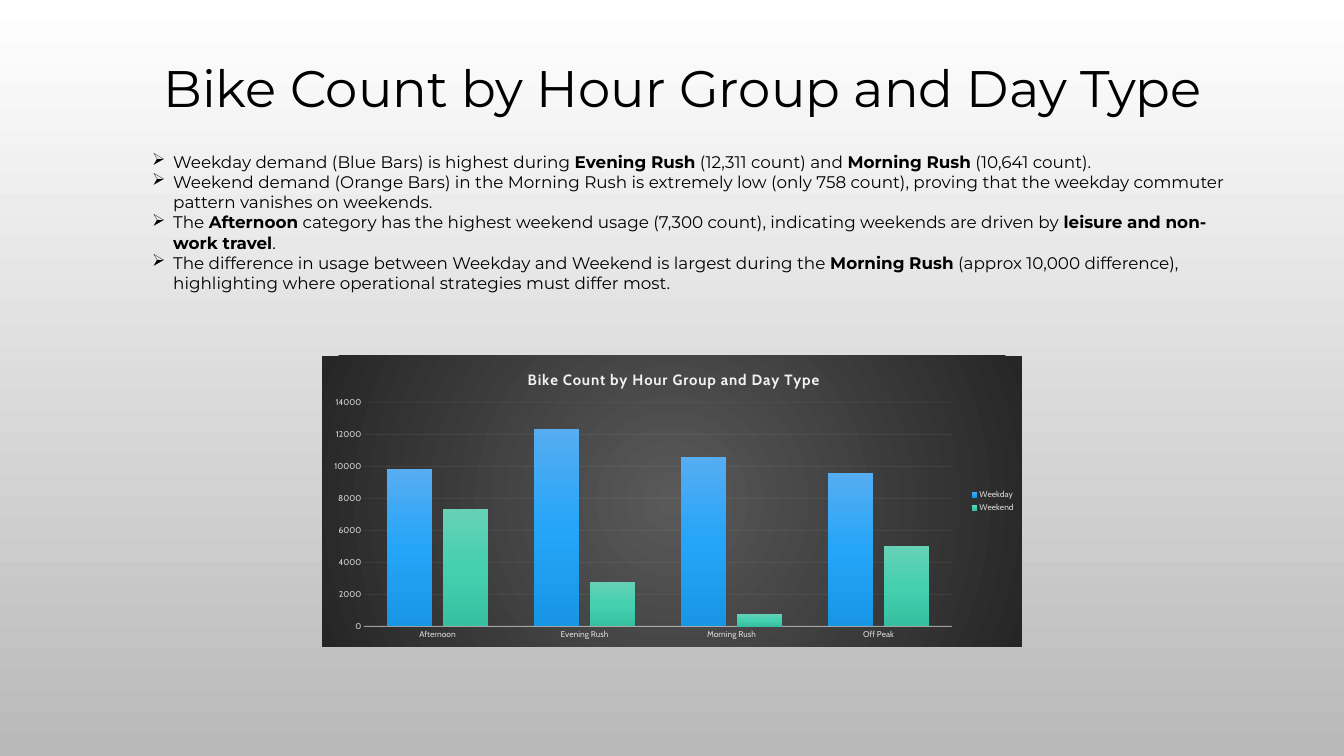
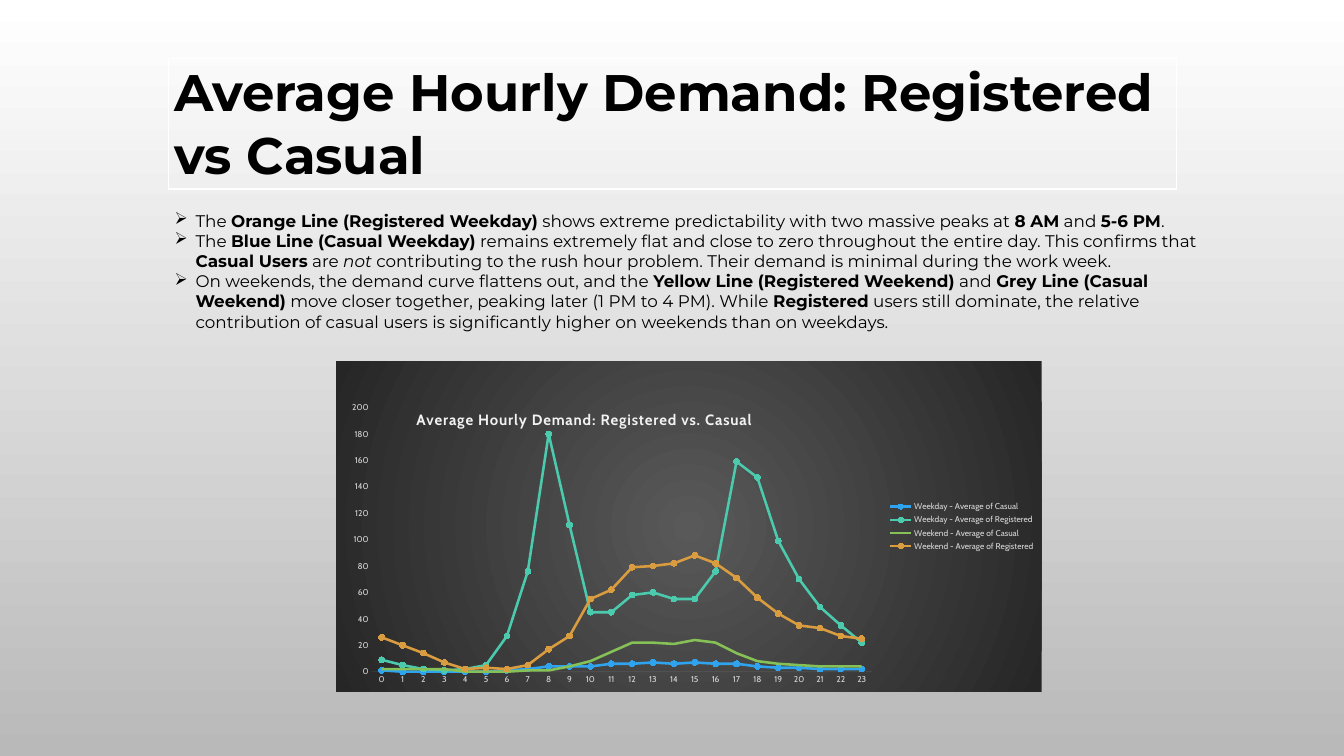
from pptx import Presentation
from pptx.chart.data import CategoryChartData
from pptx.dml.color import RGBColor
from pptx.enum.chart import XL_CHART_TYPE as ChartType, XL_LEGEND_POSITION as LegendPosition
from pptx.enum.chart import XL_MARKER_STYLE as MarkerStyle, XL_TICK_MARK as TickMark
from pptx.enum.text import MSO_ANCHOR as Anchor, MSO_AUTO_SIZE as AutoSize, PP_ALIGN as Align
from pptx.oxml import parse_xml
from pptx.oxml.ns import nsdecls
from pptx.util import Emu, Pt

PX = 9525
TITLE_ONLY, BLANK = 5, 6
COLORS = {
    "ink": "000000",
    "paper": "FFFFFF",
    "paper_end": "B9B9B9",
    "panel": "595959",
    "panel_end": "262626",
    "label": "D9D9D9",
    "bright": "F2F2F2",
}
TITLE = {"name": "Montserrat", "size": Pt(55), "color": COLORS["ink"]}
BODY = {"name": "Montserrat", "size": Pt(18), "color": COLORS["ink"]}
CHART_TITLE = {"name": "Cabin", "size": Pt(16), "bold": True, "color": COLORS["bright"]}
CHART_LABEL = {"name": "Cabin", "size": Pt(9), "color": COLORS["label"]}

COUNT_TITLE = "Bike Count by Hour Group and Day Type"
COUNT_NOTES = [
    "Weekday demand (Blue Bars) is highest during **Evening Rush** (12,311 count) and "
    "**Morning Rush** (10,641 count).",
    "Weekend demand (Orange Bars) in the Morning Rush is extremely low (only 758 count), "
    "proving that the weekday commuter pattern vanishes on weekends.",
    "The **Afternoon** category has the highest weekend usage (7,300 count), indicating "
    "weekends are driven by **leisure and non-work travel**.",
    "The difference in usage between Weekday and Weekend is largest during the "
    "**Morning Rush** (approx 10,000 difference), highlighting where operational "
    "strategies must differ most.",
]
HOUR_GROUPS = ["Afternoon", "Evening Rush", "Morning Rush", "Off Peak"]
COUNTS = {
    "Weekday": [9800, 12300, 10600, 9600],
    "Weekend": [7300, 2800, 800, 5000],
}
BAR_STOPS = [
    [(0, "56ADF2"), (50, "25A5F8"), (100, "1895E5")],
    [(0, "66D1B6"), (50, "45D0B0"), (100, "36C0A1")],
]

DEMAND_TITLE = "Average Hourly Demand: Registered vs Casual"
DEMAND_NOTES = [
    "The **Orange Line (Registered Weekday)** shows extreme predictability with two "
    "massive peaks at **8 AM** and **5-6 PM**.",
    "The **Blue Line (Casual Weekday)** remains extremely flat and close to zero "
    "throughout the entire day. This confirms that **Casual Users** are _not_ "
    "contributing to the rush hour problem. Their demand is minimal during the work week.",
    "On weekends, the demand curve flattens out, and the **Yellow Line (Registered "
    "Weekend)** and **Grey Line (Casual Weekend)** move closer together, peaking later "
    "(1 PM to 4 PM). While **Registered** users still dominate, the relative contribution "
    "of casual users is significantly higher on weekends than on weekdays.",
]
DEMAND = {
    "Weekday - Average of Casual":
        [1, 0, 0, 0, 0, 0, 1, 2, 4, 4, 4, 6, 6, 7, 6, 7, 6, 6, 4, 3, 3, 2, 2, 2],
    "Weekday - Average of Registered":
        [9, 5, 2, 1, 2, 5, 27, 76, 180, 111, 45, 45, 58, 60, 55, 55, 76, 159, 147, 99, 70,
         49, 35, 22],
    "Weekend - Average of Casual":
        [2, 2, 2, 2, 0, 0, 0, 1, 1, 4, 8, 15, 22, 22, 21, 24, 22, 14, 8, 6, 5, 4, 4, 4],
    "Weekend - Average of Registered":
        [26, 20, 14, 7, 2, 3, 2, 5, 17, 27, 55, 62, 79, 80, 82, 88, 82, 71, 56, 44, 35, 33,
         27, 25],
}
LINE_STYLES = [("2FA3EE", "25A5F8"), ("4BCAAD", "45D0B0"), ("86C157", None),
               ("D99C3F", "E19E37")]


def scaled(box):
    """Turn a box in px into EMU lengths."""
    return [Emu(length * PX) for length in box]


def style_font(font, formats):
    """Apply a dict of font formats."""
    for name, value in formats.items():
        if name == "color":
            font.color.rgb = RGBColor.from_string(value)
        else:
            setattr(font, name, value)


def gradient_xml(stops, direction):
    """Return a gradient fill element."""
    marks = "".join(f'<a:gs pos="{pos * 1000}"><a:srgbClr val="{color}"/></a:gs>'
                    for pos, color in stops)
    return parse_xml(f'<a:gradFill {nsdecls("a")} rotWithShape="1">'
                     f'<a:gsLst>{marks}</a:gsLst>{direction}</a:gradFill>')


def shade_down(gradient, stops):
    """Replace a gradient with one that runs from top to bottom."""
    gradient.getparent().replace(
        gradient, gradient_xml(stops, '<a:lin ang="5400000" scaled="0"/>'))


def add_page(deck, layout):
    """Add a slide with the shared grey background."""
    page = deck.slides.add_slide(deck.slide_layouts[layout])
    page.background.fill.gradient()
    shade_down(page.element.xpath("//p:bgPr/a:gradFill")[0],
               [(0, COLORS["paper"]), (100, COLORS["paper_end"])])
    return page


def add_notes(page, box, notes):
    """Write arrow bullets with **bold** and _italic_ spans."""
    frame = page.shapes.add_textbox(*scaled(box)).text_frame
    frame.word_wrap = True
    for index, note in enumerate(notes):
        para = frame.add_paragraph() if index else frame.paragraphs[0]
        properties = para._p.get_or_add_pPr()
        properties.set("marL", str(30 * PX))
        properties.set("indent", str(-30 * PX))
        properties.append(parse_xml(f'<a:buChar {nsdecls("a")} char="➢"/>'))
        for strong, chunk in enumerate(note.split("**")):
            for slanted, piece in enumerate(chunk.split("_")):
                if piece:
                    span = para.add_run()
                    span.text = piece
                    style_font(span.font, {**BODY, "bold": strong % 2 == 1,
                                           "italic": slanted % 2 == 1})


def place_part(part, index, **fractions):
    """Give a chart part a manual layout in fractions of the chart."""
    for old in part.xpath("c:layout"):
        part.remove(old)
    target = '<c:layoutTarget val="inner"/>' if "w" in fractions else ""
    modes = "".join(f'<c:{key}Mode val="edge"/>' for key in "xy")
    values = "".join(f'<c:{key} val="{value}"/>' for key, value in fractions.items())
    part.insert(index, parse_xml(
        f'<c:layout {nsdecls("c")}><c:manualLayout>{target}{modes}{values}'
        f'</c:manualLayout></c:layout>'))


def draw_line(line, color, width):
    """Format a solid line."""
    line.color.rgb = RGBColor.from_string(color)
    line.width = Pt(width)


def fade(chart, query, percent):
    """Make the colours found by a query partly transparent."""
    for color in chart.element.xpath(query):
        color.append(parse_xml(f'<a:alpha {nsdecls("a")} val="{percent * 1000}"/>'))


def add_dark_chart(page, box, kind, title, categories, series, top, step):
    """Add a chart on the dark panel with light labels and a right legend."""
    data = CategoryChartData()
    data.categories = categories
    for name, values in series.items():
        data.add_series(name, values)
    chart = page.shapes.add_chart(kind, *scaled(box), data).chart
    style_font(chart.font, {"name": "Cabin", "size": Pt(10), "color": COLORS["ink"]})
    panel = parse_xml(f'<c:spPr {nsdecls("c", "a")}><a:ln><a:noFill/></a:ln></c:spPr>')
    panel.insert(0, gradient_xml(
        [(0, COLORS["panel"]), (100, COLORS["panel_end"])],
        '<a:path path="circle"><a:fillToRect l="50000" t="50000" r="50000" b="50000"/></a:path>'))
    chart.element.xpath("c:txPr")[0].addprevious(panel)

    chart.has_title = True
    span = chart.chart_title.text_frame.paragraphs[0].add_run()
    span.text = title
    style_font(span.font, CHART_TITLE)
    chart.element.xpath("//c:title//a:r/a:rPr")[0].set("spc", "100")
    chart.has_legend = True
    chart.legend.position = LegendPosition.RIGHT
    chart.legend.include_in_layout = False
    style_font(chart.legend.font, CHART_LABEL)
    for axis in (chart.category_axis, chart.value_axis):
        axis.major_tick_mark = axis.minor_tick_mark = TickMark.NONE
        style_font(axis.tick_labels.font, CHART_LABEL)
    chart.value_axis.format.line.fill.background()
    chart.value_axis.minimum_scale = 0
    chart.value_axis.maximum_scale = top
    chart.value_axis.major_unit = step
    chart.plots[0].vary_by_categories = False
    return chart


def place_chart_parts(chart, title, plot):
    """Place the title and the plot area of a chart."""
    place_part(chart.element.xpath("//c:chart/c:title")[0], 1, **title)
    place_part(chart.element.xpath("//c:plotArea")[0], 0, **plot)


def add_count_chart(page, box):
    """Draw the bike counts as paired columns."""
    chart = add_dark_chart(page, box, ChartType.COLUMN_CLUSTERED, COUNT_TITLE,
                           HOUR_GROUPS, COUNTS, 14000, 2000)
    place_chart_parts(chart, {"x": 0.29, "y": 0.04},
                      {"x": 0.06, "y": 0.16, "w": 0.84, "h": 0.77})
    plot = chart.plots[0]
    plot.gap_width, plot.overlap = 100, -24
    for bars in plot.series:
        bars.format.fill.gradient()
    for gradient, stops in zip(chart.element.xpath("//c:ser/c:spPr/a:gradFill"), BAR_STOPS):
        shade_down(gradient, stops)
    draw_line(chart.category_axis.format.line, COLORS["bright"], 1)
    draw_line(chart.value_axis.major_gridlines.format.line, COLORS["bright"], 0.75)
    fade(chart, "//c:catAx/c:spPr//a:srgbClr", 54)
    fade(chart, "//c:majorGridlines//a:srgbClr", 10)


def add_demand_chart(page, box):
    """Draw the hourly demand as four lines."""
    chart = add_dark_chart(page, box, ChartType.LINE_MARKERS,
                           "Average Hourly Demand: Registered vs. Casual",
                           [str(hour) for hour in range(24)], DEMAND, 200, 20)
    place_chart_parts(chart, {"x": 0.11, "y": 0.14},
                      {"x": 0.05, "y": 0.14, "w": 0.71, "h": 0.8})
    chart.value_axis.has_major_gridlines = False
    draw_line(chart.category_axis.format.line, COLORS["bright"], 0.75)
    fade(chart, "//c:catAx/c:spPr//a:srgbClr", 10)
    for curve, (color, dot) in zip(chart.plots[0].series, LINE_STYLES):
        curve.smooth = False
        draw_line(curve.format.line, color, 2.75)
        curve.marker.style = MarkerStyle.CIRCLE if dot else MarkerStyle.NONE
        if dot:
            curve.marker.size = 6
            curve.marker.format.fill.solid()
            curve.marker.format.fill.fore_color.rgb = RGBColor.from_string(dot)
            draw_line(curve.marker.format.line, dot, 0.75)


def set_title(page, box, text):
    """Move and format the title placeholder."""
    title = page.shapes.title
    title.left, title.top, title.width, title.height = scaled(box)
    frame = title.text_frame
    frame.text = text
    for name, value in {"word_wrap": True, "auto_size": AutoSize.NONE,
                        "vertical_anchor": Anchor.TOP}.items():
        setattr(frame, name, value)
    para = frame.paragraphs[0]
    para.alignment = Align.LEFT
    style_font(para.runs[0].font, TITLE)


def add_title_table(page, box, text):
    """Set the heading in a one-cell table with white borders."""
    frame = page.shapes.add_table(1, 1, *scaled(box))
    cell = frame.table.cell(0, 0)
    cell.text = text
    cell.fill.background()
    style_font(cell.text_frame.paragraphs[0].runs[0].font, {**TITLE, "bold": True})
    properties = frame.element.xpath(".//a:tcPr")[0]
    for index, (side, width) in enumerate({"L": 1, "R": 1, "T": 1, "B": 3}.items()):
        properties.insert(index, parse_xml(
            f'<a:ln{side} {nsdecls("a")} w="{Pt(width)}"><a:solidFill>'
            f'<a:srgbClr val="{COLORS["paper"]}"/></a:solidFill></a:ln{side}>'))


def build_count_page(deck):
    """Build the slide on counts by hour group."""
    page = add_page(deck, TITLE_ONLY)
    set_title(page, (224, 76, 1552, 99), COUNT_TITLE)
    add_notes(page, (208, 212, 1552, 213), COUNT_NOTES)
    add_count_chart(page, (460, 508, 1000, 416))


def build_demand_page(deck):
    """Build the slide on hourly demand."""
    page = add_page(deck, BLANK)
    add_notes(page, (240, 296, 1488, 184), DEMAND_NOTES)
    add_demand_chart(page, (480, 516, 1008, 472))
    add_title_table(page, (240, 84, 1440, 185), DEMAND_TITLE)


def main():
    """Build and save the deck."""
    deck = Presentation()
    deck.slide_width, deck.slide_height = scaled((1920, 1080))
    build_count_page(deck)
    build_demand_page(deck)
    deck.save("out.pptx")


if __name__ == "__main__":
    main()
